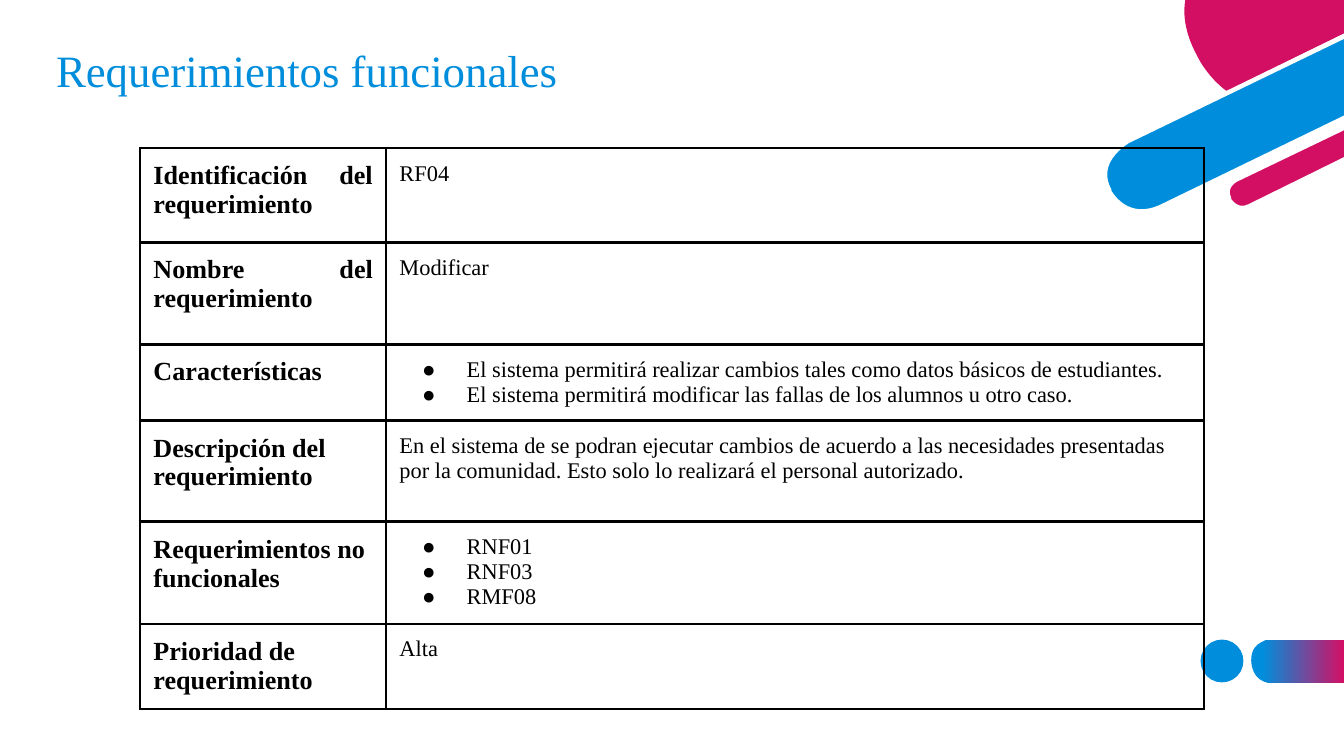
from dataclasses import dataclass

from lxml.etree import SubElement
from pptx import Presentation
from pptx.dml.color import RGBColor as RGB
from pptx.enum.shapes import MSO_SHAPE as Shape
from pptx.enum.text import MSO_ANCHOR as Anchor, PP_ALIGN as Align
from pptx.oxml.ns import qn
from pptx.util import Cm, Pt


@dataclass(frozen=True)
class Theme:
    font: str = "Times New Roman"
    blue: str = "008EDC"
    pink: str = "D30F64"
    white: str = "FFFFFF"
    black: str = "000000"
    title_size: int = 24
    label_size: int = 14
    body_size: int = 12
    border: float = 1.5


THEME = Theme()

# Content: label, label alignment, row height in cm, value (a list is bulleted)
TITLE = "Requerimientos funcionales"
ROWS = [
    ("Identificación del requerimiento", Align.JUSTIFY, 1.78, "RF04"),
    ("Nombre del requerimiento", Align.JUSTIFY, 1.93, "Modificar"),
    ("Características", Align.LEFT, 1.44, [
        "El sistema permitirá realizar cambios tales como datos básicos de estudiantes.",
        "El sistema permitirá modificar las fallas de los alumnos u otro caso."]),
    ("Descripción del requerimiento", Align.LEFT, 1.91,
     "En el sistema de se podran ejecutar cambios de acuerdo a las necesidades "
     "presentadas por la comunidad. Esto solo lo realizará el personal autorizado."),
    ("Requerimientos no funcionales", Align.LEFT, 1.93, ["RNF01", "RNF03", "RMF08"]),
    ("Prioridad de requerimiento", Align.LEFT, 1.61, "Alta"),
]
COLUMNS = (4.65, 15.45)

# Decoration outlines, back to front, in units of 2.54 cm
PILL = "M 9.46 5.08 L 10 5.08 L 10 4.76 L 9.46 4.76 C 9.46 4.76 9.31 4.76 9.31 4.91 L 9.31 4.92 C 9.31 4.92 9.31 5.08 9.46 5.08"
CORNER = [
    # White rim of the disc
    (THEME.white, "M 9.99 0.61 L 9.79 0.71 C 9.55 0.83 9.33 0.81 9.14 0.67 C 9 0.56 8.92 0.41 8.92 0.41 "
     "L 8.91 0.39 C 8.84 0.25 8.81 0.12 8.83 0 L 8.8 0 C 8.79 0.13 8.81 0.26 8.88 0.4 L 8.89 0.43 "
     "C 8.9 0.43 8.97 0.58 9.12 0.69 C 9.21 0.76 9.33 0.82 9.48 0.82 C 9.58 0.82 9.69 0.79 9.81 0.74 L 9.99 0.65"),
    # Wide bar
    (THEME.blue, "M 8.41 1.04 C 8.41 1.04 8.13 1.18 8.26 1.42 C 8.26 1.42 8.38 1.66 8.65 1.53 "
     "L 10 0.88 L 10 0.27"),
    # Disc
    (THEME.pink, "M 8.91 0.42 C 8.91 0.42 8.98 0.57 9.13 0.68 L 10 0.25 L 10 0 L 8.82 0 "
     "C 8.8 0.11 8.82 0.25 8.9 0.4"),
    # Narrow bar
    (THEME.pink, "M 10 0.95 L 9.2 1.34 C 9.2 1.34 9.1 1.39 9.15 1.48 L 9.15 1.49 "
     "C 9.15 1.49 9.2 1.58 9.3 1.53 L 10 1.19"),
    # White rim of the narrow bar
    (THEME.white, "M 9.29 1.52 C 9.21 1.56 9.17 1.49 9.16 1.48 L 9.16 1.47 C 9.12 1.39 9.21 1.35 9.21 1.35 "
     "L 10 0.97 L 10 0.93 L 9.2 1.32 C 9.2 1.32 9.14 1.35 9.12 1.4 C 9.12 1.43 9.12 1.46 9.13 1.49 "
     "C 9.15 1.52 9.19 1.56 9.24 1.56 C 9.26 1.56 9.28 1.56 9.31 1.55 L 10 1.21 L 10 1.17"),
    # White rim of the wide bar
    (THEME.white, "M 8.64 1.52 C 8.39 1.64 8.28 1.43 8.27 1.42 L 8.27 1.41 C 8.22 1.32 8.23 1.23 8.3 1.15 "
     "C 8.35 1.09 8.41 1.06 8.41 1.06 L 10 0.29 L 10 0.25 L 8.4 1.03 C 8.39 1.03 8.26 1.1 8.22 1.22 "
     "C 8.2 1.29 8.21 1.35 8.24 1.42 L 8.25 1.43 C 8.25 1.43 8.33 1.59 8.5 1.59 "
     "C 8.54 1.59 8.6 1.58 8.66 1.55 L 10 0.9 L 10 0.86"),
]


def style_shape(shape, color=None):
    shape.shadow.inherit = False
    shape.line.fill.background()
    if color:
        shape.fill.solid()
        shape.fill.fore_color.rgb = RGB.from_string(color)


def add_outline(page, outline, color=None):
    """Draw an outline of lines (L) and cubic curves (C)."""
    kinds, points = [], []
    for segment in outline.replace("C", "|C").replace("L", "|L").split("|"):
        kind, *numbers = segment.split()
        lengths = [Cm(2.54 * float(number)) for number in numbers]
        kinds.append(kind)
        points += zip(lengths[::2], lengths[1::2])
    builder = page.shapes.build_freeform(*points[0])
    builder.add_line_segments(points[1:], close=True)
    shape = builder.convert_to_shape()

    # Join the three points of each curve into one curve element
    lines = list(shape._element.iter(qn("a:lnTo")))
    for kind in kinds[1:]:
        first = lines.pop(0)
        if kind == "C":
            first.tag = qn("a:cubicBezTo")
            for _ in range(2):
                line = lines.pop(0)
                first.append(line[0])
                line.getparent().remove(line)
    style_shape(shape, color)
    return shape


def write(frame, text, *, size, color=THEME.black, bold=False, align=Align.LEFT, spacing=1.0):
    """Write a string, or a list of strings as bullets."""
    frame.word_wrap = True
    bulleted = isinstance(text, list)
    for index, line in enumerate(text if bulleted else [text]):
        para = frame.add_paragraph() if index else frame.paragraphs[0]
        para.alignment = align
        para.line_spacing = spacing
        if bulleted:
            props = para._p.get_or_add_pPr()
            props.set("marL", str(Cm(1.27)))
            props.set("indent", str(-Cm(0.84)))
            SubElement(SubElement(props, qn("a:buClr")), qn("a:srgbClr"), val=color)
            SubElement(props, qn("a:buFont"), typeface=THEME.font)
            SubElement(props, qn("a:buChar"), char="●")
        span = para.add_run()
        span.text = line
        span.font.name = THEME.font
        span.font.size = Pt(size)
        span.font.bold = bold
        span.font.color.rgb = RGB.from_string(color)


def style_cell(cell):
    props = cell._tc.get_or_add_tcPr()
    for side in ("a:lnL", "a:lnR", "a:lnT", "a:lnB"):
        line = SubElement(props, qn(side), w=str(Pt(THEME.border)))
        SubElement(SubElement(line, qn("a:solidFill")), qn("a:srgbClr"), val=THEME.black)
    cell.fill.background()
    cell.margin_left = cell.margin_right = cell.margin_top = Cm(0.25)
    cell.margin_bottom = Cm(0.12)  # keeps the rows at their set heights


def add_decoration(page):
    dot = page.shapes.add_shape(Shape.OVAL, Cm(22.69), Cm(12.09), Cm(0.81), Cm(0.81))
    style_shape(dot, THEME.blue)
    pill = add_outline(page, PILL)
    pill.fill.gradient()
    pill.fill.gradient_angle = 0
    for stop, place, color in zip(pill.fill.gradient_stops, (0.12, 1), (THEME.blue, THEME.pink)):
        stop.position = place
        stop.color.rgb = RGB.from_string(color)
    for color, outline in CORNER:
        add_outline(page, outline, color)


def add_title(page):
    box = page.shapes.add_textbox(Cm(0.87), Cm(0.58), Cm(23.67), Cm(1.6))
    frame = box.text_frame
    frame.vertical_anchor = Anchor.MIDDLE
    frame.margin_left = frame.margin_right = Cm(0.19)
    frame.margin_top = frame.margin_bottom = Cm(0.1)
    write(frame, TITLE, size=THEME.title_size, color=THEME.blue, spacing=0.9)


def add_requirements(page):
    heights = [row[2] for row in ROWS]
    table = page.shapes.add_table(len(ROWS), len(COLUMNS), Cm(2.65), Cm(2.8),
                                  Cm(sum(COLUMNS)), Cm(sum(heights))).table
    table.first_row = table.horz_banding = False
    for column, width in zip(table.columns, COLUMNS):
        column.width = Cm(width)
    for row, (label, align, height, value) in zip(table.rows, ROWS):
        row.height = Cm(height)
        label_cell, value_cell = row.cells
        style_cell(label_cell)
        style_cell(value_cell)
        write(label_cell.text_frame, label, size=THEME.label_size, bold=True, align=align)
        write(value_cell.text_frame, value, size=THEME.body_size)


def main():
    deck = Presentation()
    deck.slide_width, deck.slide_height = Cm(25.4), Cm(14.29)
    page = deck.slides.add_slide(deck.slide_layouts[6])
    add_decoration(page)
    add_title(page)
    add_requirements(page)
    deck.save("out.pptx")


if __name__ == "__main__":
    main()
